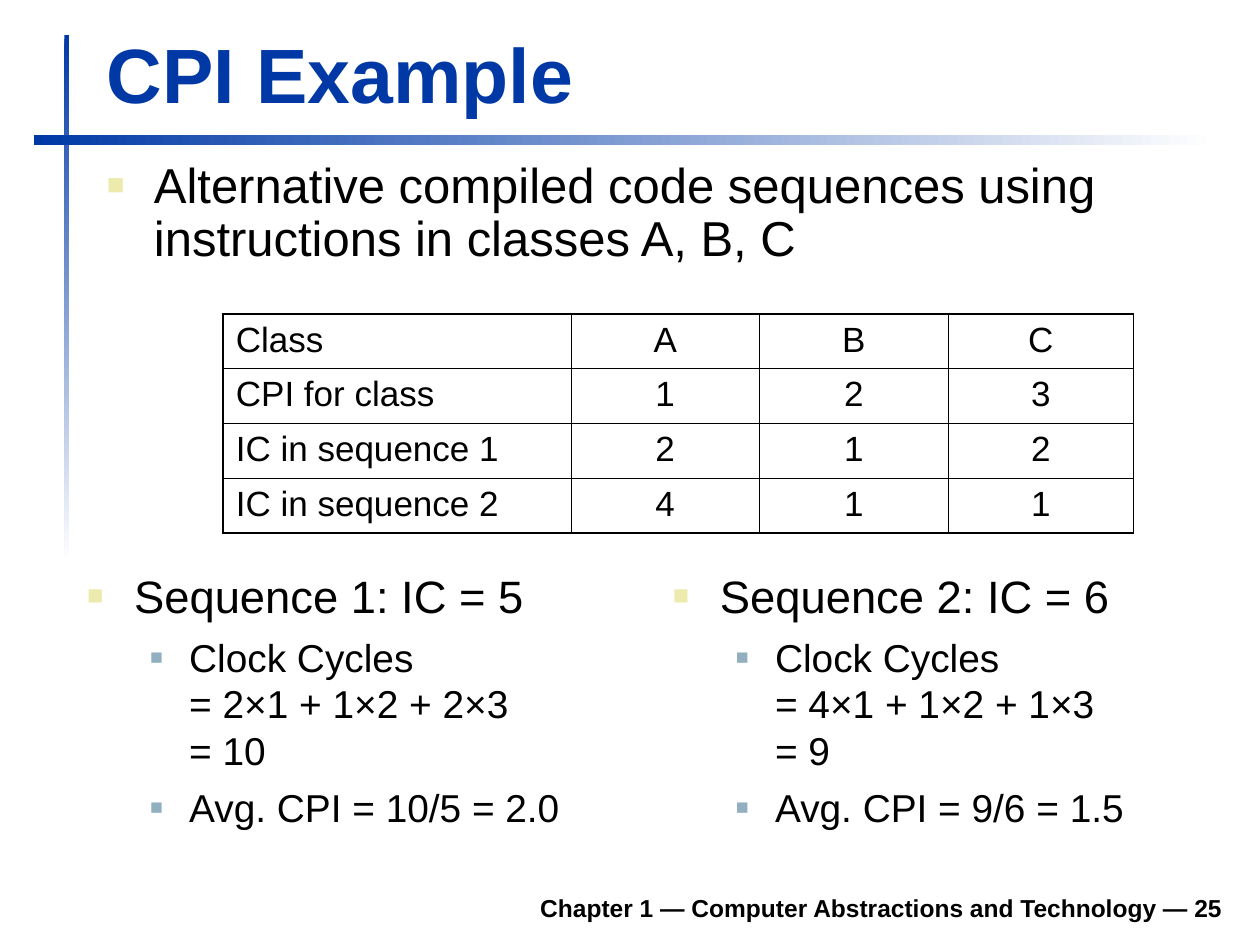
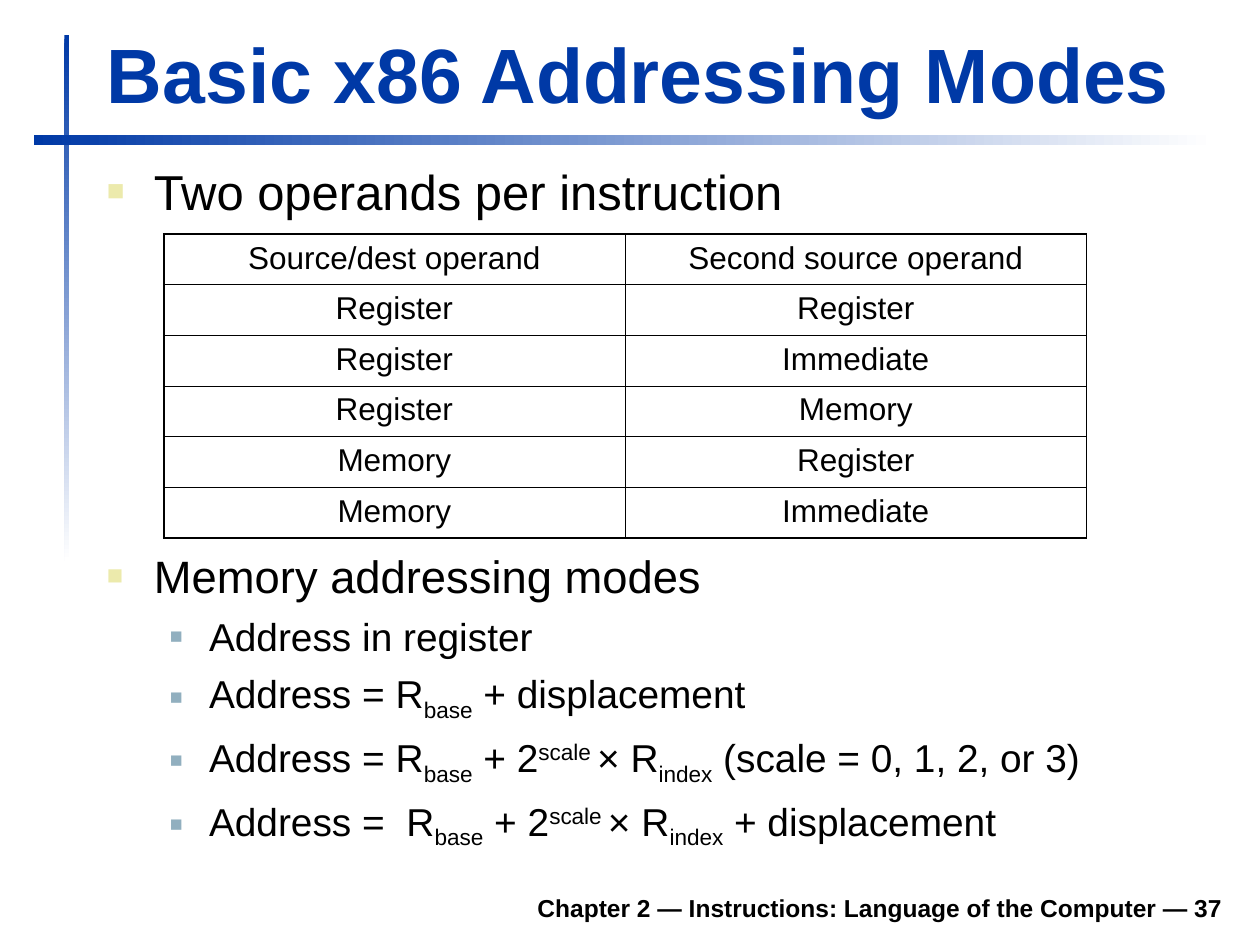
from lxml.etree import SubElement
from pptx import Presentation
from pptx.dml.color import RGBColor
from pptx.enum.shapes import MSO_SHAPE
from pptx.enum.text import MSO_ANCHOR, MSO_AUTO_SIZE, PP_ALIGN
from pptx.oxml.ns import qn
from pptx.util import Cm, Pt

COLORS = {
    "accent": "0039A6",
    "paper": "FFFFFF",
    "ink": "000000",
    "bullet": "ECEAAC",
    "sub_bullet": "91AFBF",
}
FONT = "Arial"
SUB, SUPER = -25000, 30000

# Per list level: left margin, bullet hang, space before, bullet colour, bullet size
LEVELS = [
    (Cm(0.95), Cm(0.95), Pt(7), "bullet", 60000),
    (Cm(2.06), Cm(0.79), Pt(6), "sub_bullet", 55000),
]
# Built-in layout with at least this many body placeholders
LAYOUT_FOR_LISTS = {2: 3, 3: 4}
OUTER_BORDER, INNER_BORDER = Pt(1.08), Pt(0.45)


def write(paragraph, text, size, color="ink", bold=False, baseline=0):
    """Add text to a paragraph; a newline becomes a line break."""
    for number, line in enumerate(text.split("\n")):
        if number:
            paragraph.add_line_break()
        run = paragraph.add_run()
        run.text = line
        run.font.name = FONT
        run.font.size = Pt(size)
        run.font.bold = bold
        run.font.color.rgb = RGBColor.from_string(COLORS[color])
        if baseline:
            run.font._element.set("baseline", str(baseline))


def set_bullet(paragraph, level):
    margin, hang, space, color, percent = LEVELS[level]
    paragraph.level = level
    paragraph.space_before = space
    paragraph.space_after = Pt(0)
    properties = paragraph._p.get_or_add_pPr()
    properties.set("marL", str(margin))
    properties.set("indent", str(-hang))
    bullet_color = SubElement(properties, qn("a:buClr"))
    SubElement(bullet_color, qn("a:srgbClr"), val=COLORS[color])
    SubElement(properties, qn("a:buSzPct"), val=str(percent))
    SubElement(properties, qn("a:buFont"), typeface=FONT)
    SubElement(properties, qn("a:buChar"), char="■")


def set_borders(cell, widths):
    """Draw cell borders; widths are in the order left, right, top, bottom."""
    properties = cell._tc.get_or_add_tcPr()
    for side, width in zip("LRTB", widths):
        border = SubElement(properties, qn(f"a:ln{side}"), w=str(width))
        fill = SubElement(border, qn("a:solidFill"))
        SubElement(fill, qn("a:srgbClr"), val=COLORS["ink"])


def place(shape, left, top, width, height):
    shape.left, shape.top, shape.width, shape.height = left, top, width, height


class LectureDeck:
    def __init__(self):
        self.deck = Presentation()
        self.deck.slide_width, self.deck.slide_height = Cm(25.4), Cm(19.05)
        self.slide = None
        self.free_bodies = []

    def start_slide(self, title, footer, list_count):
        first = self.slide is None
        layout = self.deck.slide_layouts[LAYOUT_FOR_LISTS[list_count]]
        self.slide = self.deck.slides.add_slide(layout)
        bodies = list(self.slide.placeholders)[1:]
        self.free_bodies = bodies[:list_count]
        for unused in bodies[list_count:]:
            unused.element.getparent().remove(unused.element)
        if first:
            self.master_band(101, Cm(1.3), Cm(0.71), Cm(0.1), Cm(10.6), 270)
            self.master_band(102, Cm(0.69), Cm(2.72), Cm(23.8), Cm(0.2), 0)
        self.title(title)
        self.footer(footer)

    def master_band(self, number, left, top, width, height, angle):
        """Draw a fading band and move it to the master, behind every slide."""
        band = self.slide.shapes.add_shape(MSO_SHAPE.RECTANGLE, left, top, width, height)
        band.shadow.inherit = False
        band.line.fill.background()
        band.fill.gradient()
        band.fill.gradient_angle = angle
        for stop, color in zip(band.fill.gradient_stops, ("accent", "paper")):
            stop.color.rgb = RGBColor.from_string(COLORS[color])
        band.element.xpath("./p:nvSpPr/p:cNvPr")[0].set("id", str(number))
        self.deck.slide_master.shapes.element.append(band.element)

    def title(self, text):
        heading = self.slide.shapes.title
        place(heading, Cm(1.9), Cm(0.4), Cm(22.94), Cm(2.12))
        frame = heading.text_frame
        frame.auto_size = MSO_AUTO_SIZE.NONE
        frame.vertical_anchor = MSO_ANCHOR.BOTTOM
        frame.paragraphs[0].alignment = PP_ALIGN.LEFT
        write(frame.paragraphs[0], text, 44, color="accent", bold=True)

    def footer(self, text):
        note = self.slide.shapes.add_textbox(Cm(4.7), Cm(17.73), Cm(20.2), Cm(0.99))
        frame = note.text_frame
        frame.word_wrap = True
        frame.vertical_anchor = MSO_ANCHOR.BOTTOM
        frame.paragraphs[0].alignment = PP_ALIGN.RIGHT
        write(frame.paragraphs[0], text, 14, bold=True)

    def bullets(self, items, left, top, width, height, sizes=(25.9, 22.2), spacing=1.0):
        """Fill the next body; the first item is the head, the rest are sub-items.

        An item is a string or a list of (text, baseline) pairs.
        """
        body = self.free_bodies.pop(0)
        place(body, left, top, width, height)
        frame = body.text_frame
        frame.auto_size = MSO_AUTO_SIZE.NONE
        frame.vertical_anchor = MSO_ANCHOR.TOP
        for number, item in enumerate(items):
            level = min(number, 1)
            paragraph = frame.add_paragraph() if number else frame.paragraphs[0]
            paragraph.line_spacing = spacing
            set_bullet(paragraph, level)
            pieces = [(item, 0)] if isinstance(item, str) else item
            for text, baseline in pieces:
                write(paragraph, text, sizes[level], baseline=baseline)

    def table(self, rows, left, top, column_widths, row_height, size, label_column=False):
        last_row, last_column = len(rows) - 1, len(column_widths) - 1
        grid = self.slide.shapes.add_table(
            len(rows), len(column_widths), left, top,
            sum(column_widths), row_height * len(rows)).table
        grid.first_row = grid.horz_banding = False
        for column, width in zip(grid.columns, column_widths):
            column.width = width
        for r, values in enumerate(rows):
            grid.rows[r].height = row_height
            for c, value in enumerate(values):
                cell = grid.cell(r, c)
                on_edge = (c == 0, c == last_column, r == 0, r == last_row)
                set_borders(cell, [OUTER_BORDER if edge else INNER_BORDER for edge in on_edge])
                cell.fill.background()
                paragraph = cell.text_frame.paragraphs[0]
                is_label = label_column and c == 0
                paragraph.alignment = PP_ALIGN.LEFT if is_label else PP_ALIGN.CENTER
                paragraph.space_before = Pt(size / 4)
                write(paragraph, value, size)


def add_cpi_example(lecture):
    lecture.start_slide(
        "CPI Example", "Chapter 1 — Computer Abstractions and Technology — 25", 3)
    lecture.bullets(
        ["Alternative compiled code sequences using instructions in classes A, B, C"],
        Cm(1.9), Cm(3.12), Cm(22.96), Cm(2.77), sizes=(28,), spacing=0.9)
    class_counts = [
        ("Class", "A", "B", "C"),
        ("CPI for class", "1", "2", "3"),
        ("IC in sequence 1", "2", "1", "2"),
        ("IC in sequence 2", "4", "1", "1"),
    ]
    lecture.table(class_counts, Cm(4.5), Cm(6.33), [Cm(7.01), Cm(3.8), Cm(3.8), Cm(3.74)],
                  Cm(1.1), 20, label_column=True)
    sequences = [
        ("Sequence 1: IC = 5", "Clock Cycles\n= 2×1 + 1×2 + 2×3\n= 10", "Avg. CPI = 10/5 = 2.0"),
        ("Sequence 2: IC = 6", "Clock Cycles\n= 4×1 + 1×2 + 1×3\n= 9", "Avg. CPI = 9/6 = 1.5"),
    ]
    for number, sequence in enumerate(sequences):
        lecture.bullets(sequence, Cm(1.5) + number * Cm(11.81), Cm(11.33), Cm(10.8), Cm(5.8))


def add_addressing_modes(lecture):
    lecture.start_slide(
        "Basic x86 Addressing Modes",
        "Chapter 2 — Instructions: Language of the Computer — 37", 2)
    lecture.bullets(["Two operands per instruction"],
                    Cm(1.9), Cm(3.12), Cm(22.96), Cm(1.8), sizes=(28,))
    operand_pairs = [
        ("Source/dest operand", "Second source operand"),
        ("Register", "Register"),
        ("Register", "Immediate"),
        ("Register", "Memory"),
        ("Memory", "Register"),
        ("Memory", "Immediate"),
    ]
    lecture.table(operand_pairs, Cm(3.3), Cm(4.72), [Cm(9.3)] * 2, Cm(1.02), 18)
    base = ("base", SUB)
    scaled_index = [(" + 2", 0), ("scale ", SUPER), ("× R", 0), ("index", SUB)]
    modes = [
        "Memory addressing modes",
        "Address in register",
        [("Address = R", 0), base, (" + displacement", 0)],
        [("Address = R", 0), base, *scaled_index, (" (scale = 0, 1, 2, or 3)", 0)],
        [("Address =  R", 0), base, *scaled_index, (" + displacement", 0)],
    ]
    lecture.bullets(modes, Cm(1.9), Cm(10.92), Cm(22.96), Cm(6.4))


def main():
    lecture = LectureDeck()
    add_cpi_example(lecture)
    add_addressing_modes(lecture)
    lecture.deck.save("out.pptx")


if __name__ == "__main__":
    main()
